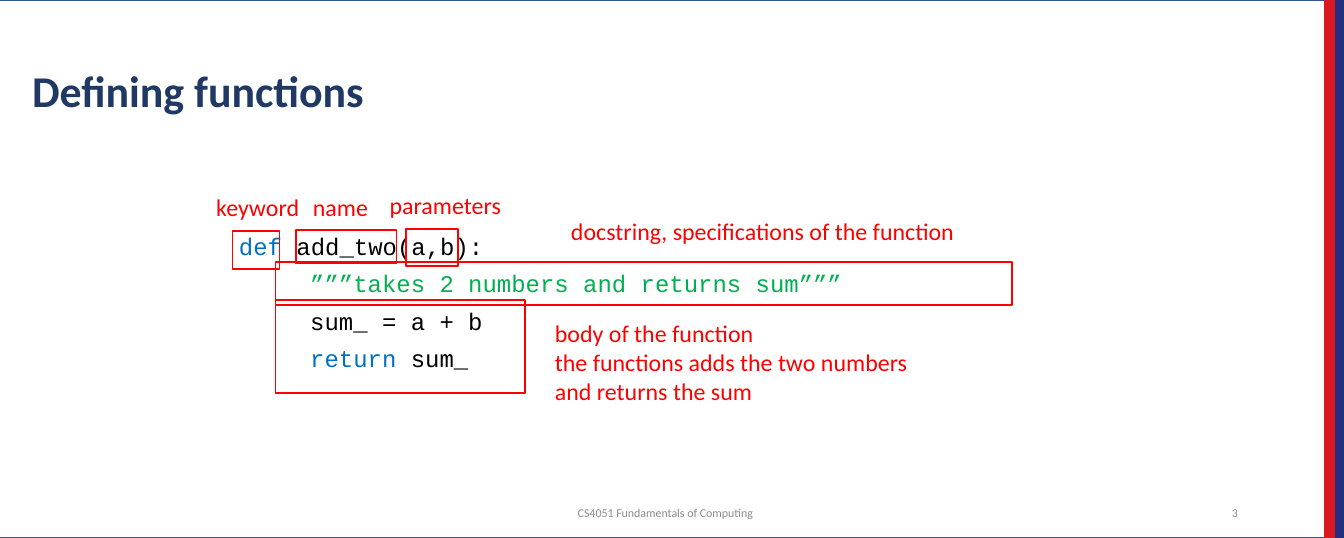
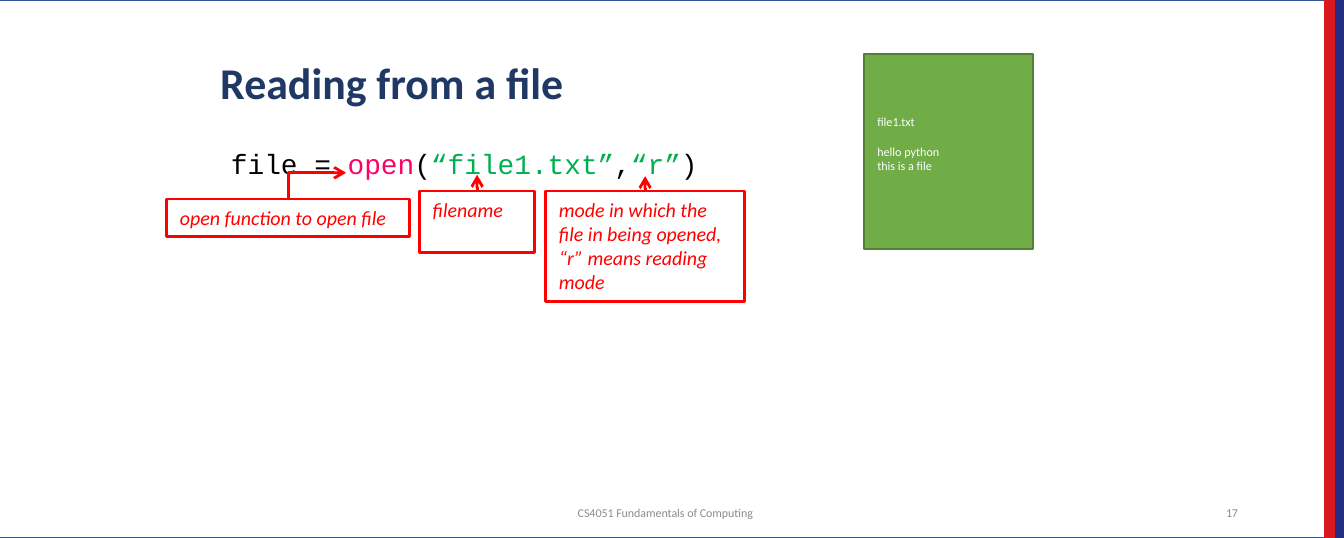
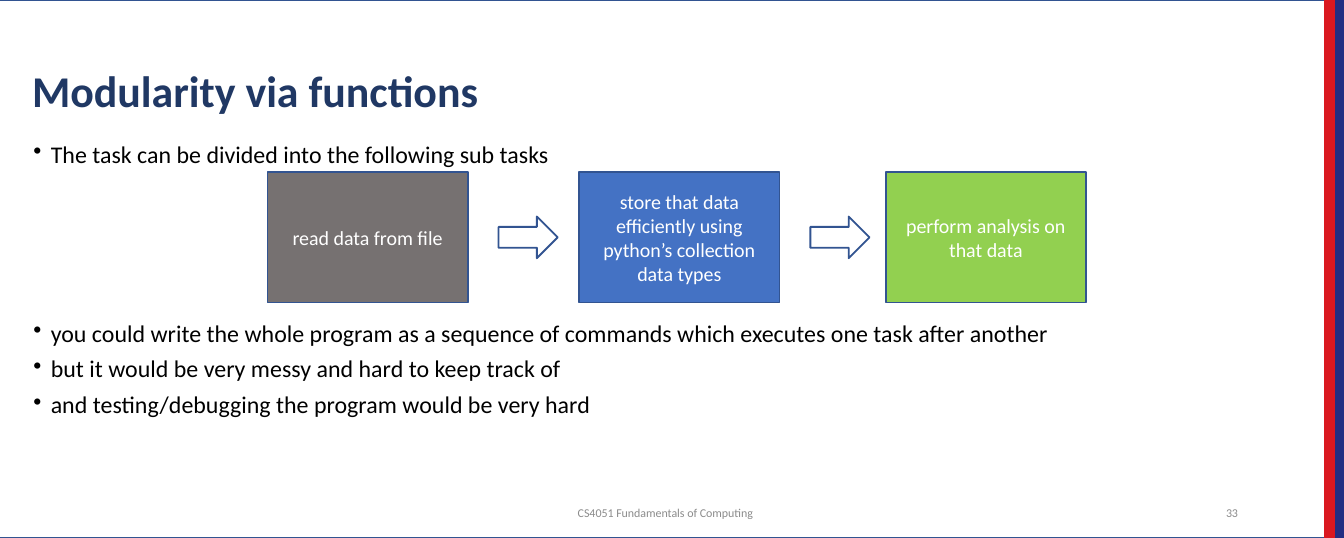
"""Three lecture slides on Python functions, placed on a grid of 100 columns by 40 rows."""
import dataclasses

import lxml.etree
import pptx
import pptx.dml.color
import pptx.enum.shapes
import pptx.enum.text
import pptx.oxml.ns
import pptx.util

ALIGN = pptx.enum.text.PP_ALIGN
ANCHOR = pptx.enum.text.MSO_ANCHOR
PRESET = pptx.enum.shapes.MSO_SHAPE
CONNECTOR = pptx.enum.shapes.MSO_CONNECTOR
qn = pptx.oxml.ns.qn


@dataclasses.dataclass(frozen=True)
class Theme:
    sans: str = "Calibri"
    mono: str = "Courier New"
    title_size: float = 23.5
    text_size: float = 12.8
    open_size: float = 14.9
    note_size: float = 10.7
    file_size: float = 6.5
    footer_size: float = 6.4
    tight: float = 0.9
    gap: float = 5.3
    code_gap: float = 6
    white: str = "FFFFFF"
    black: str = "000000"
    navy: str = "203864"
    outline: str = "325491"
    band_blue: str = "232D82"
    band_red: str = "DA1820"
    grey: str = "8C8C8C"
    mark: str = "FF0000"
    keyword: str = "0070C0"
    string: str = "00B050"
    call: str = "FF0066"
    file_fill: str = "70AD47"
    file_edge: str = "538035"
    read_fill: str = "767171"
    store_fill: str = "4472C4"
    analyse_fill: str = "92D050"


T = Theme()
COLUMNS, ROWS = 100, 40
WIDTH, HEIGHT = pptx.util.Inches(10), pptx.util.Inches(4)

COURSE = "CS4051 Fundamentals of Computing"
BANDS = [
    ((-0.7, 0, 99.3, 40), T.white, T.outline),
    ((99.3, 0, 0.7, 40), T.band_blue, T.band_blue),
    ((98.6, 0, 0.7, 40), T.band_red, T.band_red),
]
WIDE_TITLE = (1.4, 1.5, 91.7, 7.7)

ADD_TWO = [
    (0, [("def ", T.keyword), ("add_two(a,b):", T.black)]),
    (1, [("”””takes 2 numbers and returns sum”””", T.string)]),
    (1, [("sum_ = a + b", T.black)]),
    (1, [("return", T.keyword), (" sum_", T.black)]),
]
FUNCTION_PARTS = [
    ((17.3, 17.2, 3.5, 2.8), (15.1, 13.8, 9.9, 3.2), ["keyword"]),
    ((22, 17.1, 7.5, 2.5), (22.3, 13.8, 6.5, 3.2), ["name"]),
    ((30.2, 17, 3.9, 2.8), (28, 13.7, 10.5, 3.2), ["parameters"]),
    ((20.5, 19.5, 54.8, 3.2), (41.5, 15.6, 33.8, 3.2),
     ["docstring, specifications of the function"]),
    ((20.5, 22.3, 18.6, 6.9), (40.3, 23.2, 28.9, 7.5),
     ["body of the function", "the functions adds the two numbers and returns the sum"]),
]

OPEN_CALL = [(0, [("file = ", T.black), ("open", T.call), ("(", T.black),
                  ("“file1.txt”", T.string), (",", T.black), ("“r”", T.string), (")", T.black)])]
OPEN_NOTES = [
    ((31.2, 14.2, 8.6, 4.6), "filename"),
    ((40.6, 14.2, 14.8, 8.2),
     "mode in which the file in being opened, “r” means reading mode"),
    ((12.4, 14.8, 18.1, 2.8), "open function to open file"),
]
ARGUMENT_ARROWS = [(35.5, 14.2, 35.5, 13), (48, 14.2, 48, 13.1)]
OPEN_ARROW = (24.6, 16, 22.6, 11.7)
FILE_LINES = ["file1.txt", "hello python", "this is a file"]

SUBTASKS = [
    (19.9, T.read_fill, "read data from file"),
    (43.1, T.store_fill, "store that data efficiently using python’s collection data types"),
    (65.9, T.analyse_fill, "perform analysis on that data"),
]
NEXT_ARROWS = [37.1, 60.3]
POINTS = [
    (T.gap, "The task can be divided into the following sub tasks"),
    (82, "you could write the whole program as a sequence of commands which executes "
         "one task after another"),
    (T.gap, "but it would be very messy and hard to keep track of"),
    (T.gap, "and testing/debugging the program would be very hard"),
]


def rgb(colour):
    return pptx.dml.color.RGBColor.from_string(colour)


def across(columns):
    return round(WIDTH * columns / COLUMNS)


def down(rows):
    return round(HEIGHT * rows / ROWS)


def place(cell):
    left, top, width, height = cell
    return across(left), down(top), across(width), down(height)


def write(shape, lines, size, colour, font=T.sans, align=ALIGN.LEFT, anchor=ANCHOR.TOP,
          bold=False, italic=False):
    frame = shape.text_frame
    frame.word_wrap = True
    frame.vertical_anchor = anchor
    for number, line in enumerate(lines):
        paragraph = frame.add_paragraph() if number else frame.paragraphs[0]
        paragraph.alignment = align
        paragraph.font.name = font
        paragraph.font.size = pptx.util.Pt(size)
        paragraph.font.bold = bold
        paragraph.font.italic = italic
        paragraph.font.color.rgb = rgb(colour)
        for words, tint in [(line, None)] if isinstance(line, str) else line:
            run = paragraph.add_run()
            run.text = words
            if tint:
                run.font.color.rgb = rgb(tint)
    return frame


def label(slide, cell, lines, size, colour, **style):
    return write(slide.shapes.add_textbox(*place(cell)), lines, size, colour, **style)


def box(slide, cell, fill, edge, weight=1, preset=PRESET.RECTANGLE):
    shape = slide.shapes.add_shape(preset, *place(cell))
    shape.shadow.inherit = False
    if fill:
        shape.fill.solid()
        shape.fill.fore_color.rgb = rgb(fill)
    else:
        shape.fill.background()
    shape.line.color.rgb = rgb(edge)
    shape.line.width = pptx.util.Pt(weight)
    return shape


def arrow(slide, ends, kind=CONNECTOR.STRAIGHT):
    x1, y1, x2, y2 = ends
    line = slide.shapes.add_connector(kind, across(x1), down(y1), across(x2), down(y2))
    line.line.color.rgb = rgb(T.mark)
    line.line.width = pptx.util.Pt(1.5)
    properties = line._element.spPr
    lxml.etree.SubElement(properties.find(qn("a:ln")), qn("a:tailEnd"), type="arrow")
    lxml.etree.SubElement(properties, qn("a:effectLst"))
    return properties


def indent(paragraph, margin, first=0):
    properties = paragraph._p.get_or_add_pPr()
    properties.set("marL", str(across(margin)))
    properties.set("indent", str(across(first)))
    return properties


def space(paragraph, before):
    paragraph.line_spacing = T.tight
    paragraph.space_before = pptx.util.Pt(before)


def code(slide, cell, lines, size):
    frame = label(slide, cell, [runs for _, runs in lines], size, T.black,
                  font=T.mono, align=ALIGN.JUSTIFY)
    for paragraph, (level, _) in zip(frame.paragraphs, lines):
        space(paragraph, T.code_gap)
        indent(paragraph, 0.7 + 5.3 * level)


def new_slide(deck, title, title_cell, number):
    slide = deck.slides.add_slide(deck.slide_layouts[6])
    for cell, fill, edge in BANDS:
        box(slide, cell, fill, edge)
    heading = label(slide, title_cell, [title], T.title_size, T.navy,
                    anchor=ANCHOR.BOTTOM, bold=True)
    heading.paragraphs[0].line_spacing = T.tight
    for cell, words, align in [((26, 37.1, 47, 2.1), COURSE, ALIGN.CENTER),
                               ((87.5, 37.1, 5.6, 2.1), str(number), ALIGN.RIGHT)]:
        label(slide, cell, [words], T.footer_size, T.grey, align=align, anchor=ANCHOR.MIDDLE)
    return slide


def defining_functions(deck):
    slide = new_slide(deck, "Defining functions", WIDE_TITLE, 3)
    code(slide, (16.1, 17, 67.3, 21.3), ADD_TWO, T.text_size)
    for outline, caption, lines in FUNCTION_PARTS:
        box(slide, outline, None, T.mark)
        label(slide, caption, lines, T.text_size, T.mark)


def reading_file(deck):
    slide = new_slide(deck, "Reading from a file", (15.4, 0.9, 65.2, 7.7), 17)
    code(slide, (15.5, 10.7, 65.2, 26.2), OPEN_CALL, T.open_size)
    for cell, words in OPEN_NOTES:
        write(box(slide, cell, None, T.mark, 1.5), [words], T.note_size, T.mark, italic=True)
    for ends in ARGUMENT_ARROWS:
        arrow(slide, ends)
    bend = arrow(slide, OPEN_ARROW, CONNECTOR.ELBOW)
    bend.find(qn("a:prstGeom")).set("prst", "bentConnector2")
    bend.find(qn("a:xfrm")).set("rot", str(90 * 60000))
    file_card = box(slide, (64.3, 4, 12.6, 14.5), T.file_fill, T.file_edge)
    contents = write(file_card, FILE_LINES, T.file_size, T.white, anchor=ANCHOR.MIDDLE)
    contents.margin_bottom = down(1.6)
    contents.paragraphs[1].space_before = pptx.util.Pt(8)


def modularity(deck):
    slide = new_slide(deck, "Modularity via functions", WIDE_TITLE, 33)
    points = label(slide, (1.5, 10.1, 91.7, 26.2), [words for _, words in POINTS],
                   T.text_size, T.black, align=ALIGN.JUSTIFY)
    for paragraph, (before, _) in zip(points.paragraphs, POINTS):
        space(paragraph, before)
        properties = indent(paragraph, 1.3, -1.3)
        bullet = lxml.etree.SubElement(properties, qn("a:buChar"), char="•")
        properties.insert_element_before(bullet, "a:defRPr")
    for left, fill, words in SUBTASKS:
        write(box(slide, (left, 12.8, 14.9, 9.7), fill, T.outline), [words], T.note_size,
              T.white, align=ALIGN.CENTER, anchor=ANCHOR.MIDDLE)
    for left in NEXT_ARROWS:
        box(slide, (left, 16.1, 4.4, 3.1), T.white, T.outline, preset=PRESET.RIGHT_ARROW)


lecture = pptx.Presentation()
lecture.slide_width, lecture.slide_height = WIDTH, HEIGHT
for build in (defining_functions, reading_file, modularity):
    build(lecture)
lecture.save("out.pptx")
